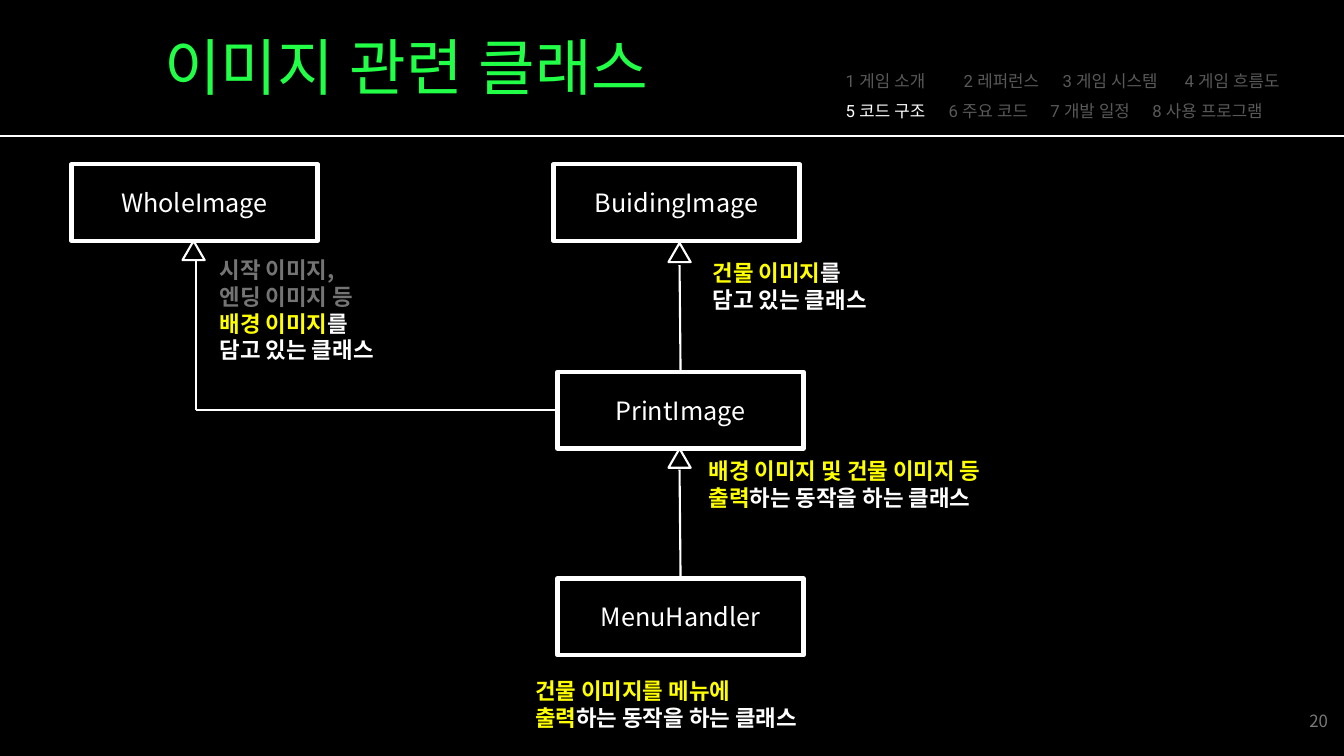
from lxml.etree import SubElement
from pptx import Presentation
from pptx.dml.color import RGBColor
from pptx.enum.shapes import MSO_CONNECTOR, MSO_SHAPE
from pptx.enum.text import MSO_ANCHOR, PP_ALIGN
from pptx.oxml.ns import qn
from pptx.util import Inches, Pt


class Theme:
    black = RGBColor.from_string("000000")
    white = RGBColor.from_string("FFFFFF")
    green = RGBColor.from_string("21FF46")
    yellow = RGBColor.from_string("FFFF00")
    gray = RGBColor.from_string("747474")
    nav_gray = RGBColor.from_string("595959")
    page_gray = RGBColor.from_string("797979")
    sans, head = "Noto Sans CJK KR", "Roboto"
    title, label, note, small = Pt(44), Pt(18), Pt(16), Pt(12)
    thin, thick = Pt(1.5), Pt(3)


def write(tf, lines, size, font, bold=False, tabs=()):
    """Fill a text frame; each line is a list of (text, colour) runs."""
    for i, line in enumerate(lines):
        p = tf.paragraphs[0] if i == 0 else tf.add_paragraph()
        if tabs:
            tab_list = SubElement(p._p.get_or_add_pPr(), qn("a:tabLst"))
            for pos in tabs[i]:
                SubElement(tab_list, qn("a:tab"), pos=str(Inches(pos)), algn="l")
        p.font.size, p.font.bold, p.font.name = size, bold, font
        SubElement(p.font._element, qn("a:ea"), typeface=font)
        for text, color in line:
            r = p.add_run()
            r.text = text
            r.font.color.rgb = color


def outline(kind, x, y, w, h, width):
    """Add an unfilled white outline shape."""
    sp = s.shapes.add_shape(kind, Inches(x), Inches(y), Inches(w), Inches(h))
    sp.shadow.inherit = False
    sp.fill.background()
    sp.line.color.rgb = Theme.white
    sp.line.width = width
    return sp


prs = Presentation()
prs.slide_width, prs.slide_height = Inches(13.33), Inches(7.5)
s = prs.slides.add_slide(prs.slide_layouts[6])
s.background.fill.solid()
s.background.fill.fore_color.rgb = Theme.black

# Title
sp = s.shapes.add_textbox(Inches(1.53), Inches(0.24), Inches(5.92), Inches(0.84))
sp.text_frame.word_wrap = True
write(sp.text_frame, [[("이미지 관련 클래스", Theme.green)]], Theme.title, Theme.head)

# Section navigation, current section in white
sp = s.shapes.add_textbox(Inches(8.29), Inches(0.55), Inches(5.04), Inches(0.66))
tf = sp.text_frame
tf.word_wrap = True
write(tf, [
    [("1 게임 소개\t2 레퍼런스\t3 게임 시스템\t4 게임 흐름도", Theme.nav_gray)],
    [("5 코드 구조", Theme.white),
     ("\t6 주요 코드\t7 개발 일정\t8 사용 프로그램", Theme.nav_gray)],
], Theme.small, Theme.head, tabs=[(1.17, 2.15, 3.36), (1.02, 2.03, 3.04)])
for p in tf.paragraphs:
    p.line_spacing = 1.5

# Class boxes
boxes = {}
for name, x, y in [("WholeImage", 0.71, 1.63), ("BuidingImage", 5.49, 1.63),
                   ("PrintImage", 5.53, 3.69), ("MenuHandler", 5.53, 5.74)]:
    sp = outline(MSO_SHAPE.RECTANGLE, x, y, 2.44, 0.76, Theme.thick)
    sp.text_frame.vertical_anchor = MSO_ANCHOR.MIDDLE
    write(sp.text_frame, [[(name, Theme.white)]], Theme.label, Theme.sans)
    sp.text_frame.paragraphs[0].alignment = PP_ALIGN.CENTER
    boxes[name] = sp

# Inheritance arrowheads
for x, y in [(1.81, 2.39), (6.63, 2.41), (6.63, 4.45)]:
    outline(MSO_SHAPE.ISOSCELES_TRIANGLE, x, y, 0.22, 0.19, Theme.thin)

# Header rule and inheritance lines: start, end, joined box and side
for x1, y1, x2, y2, box, side in [
    (0, 1.35, 13.33, 1.35, None, None),
    (1.94, 2.59, 1.94, 4.07, None, None),
    (1.94, 4.07, 5.53, 4.07, "PrintImage", 1),
    (6.74, 2.63, 6.75, 3.69, "PrintImage", 0),
    (6.74, 4.66, 6.75, 5.74, "MenuHandler", 0),
]:
    line = s.shapes.add_connector(MSO_CONNECTOR.STRAIGHT, Inches(x1), Inches(y1),
                                  Inches(x2), Inches(y2))
    line.line.color.rgb = Theme.white
    line.line.width = Theme.thin
    SubElement(line._element.spPr, qn("a:effectLst"))
    if box:
        line.end_connect(boxes[box], side)

# Class descriptions
output_line = [("출력", Theme.yellow), ("하는 동작을 하는 클래스", Theme.white)]
holder_line = [("담고 있는 클래스", Theme.white)]
for x, y, w, h, lines in [
    (2.08, 2.49, 2.33, 1.18, [
        [("시작 이미지,", Theme.gray)], [("엔딩 이미지 등", Theme.gray)],
        [("배경 이미지", Theme.yellow), ("를", Theme.white)], holder_line]),
    (6.97, 2.52, 2.06, 0.64, [
        [("건물 이미지", Theme.yellow), ("를", Theme.white)], holder_line]),
    (6.93, 4.49, 3.44, 0.64, [
        [("배경 이미지 및 건물 이미지 등", Theme.yellow)], output_line]),
    (5.21, 6.67, 3.2, 0.64, [
        [("건물 이미지를 메뉴에", Theme.yellow)], output_line]),
]:
    sp = s.shapes.add_textbox(Inches(x), Inches(y), Inches(w), Inches(h))
    sp.text_frame.word_wrap = True
    write(sp.text_frame, lines, Theme.note, Theme.sans, bold=True)

# Page number
sp = s.shapes.add_textbox(Inches(10.27), Inches(6.95), Inches(3), Inches(0.4))
tf = sp.text_frame
tf.word_wrap = True
tf.vertical_anchor = MSO_ANCHOR.MIDDLE
write(tf, [[("20", Theme.page_gray)]], Theme.small, Theme.sans)
tf.paragraphs[0].alignment = PP_ALIGN.RIGHT

prs.save("out.pptx")
